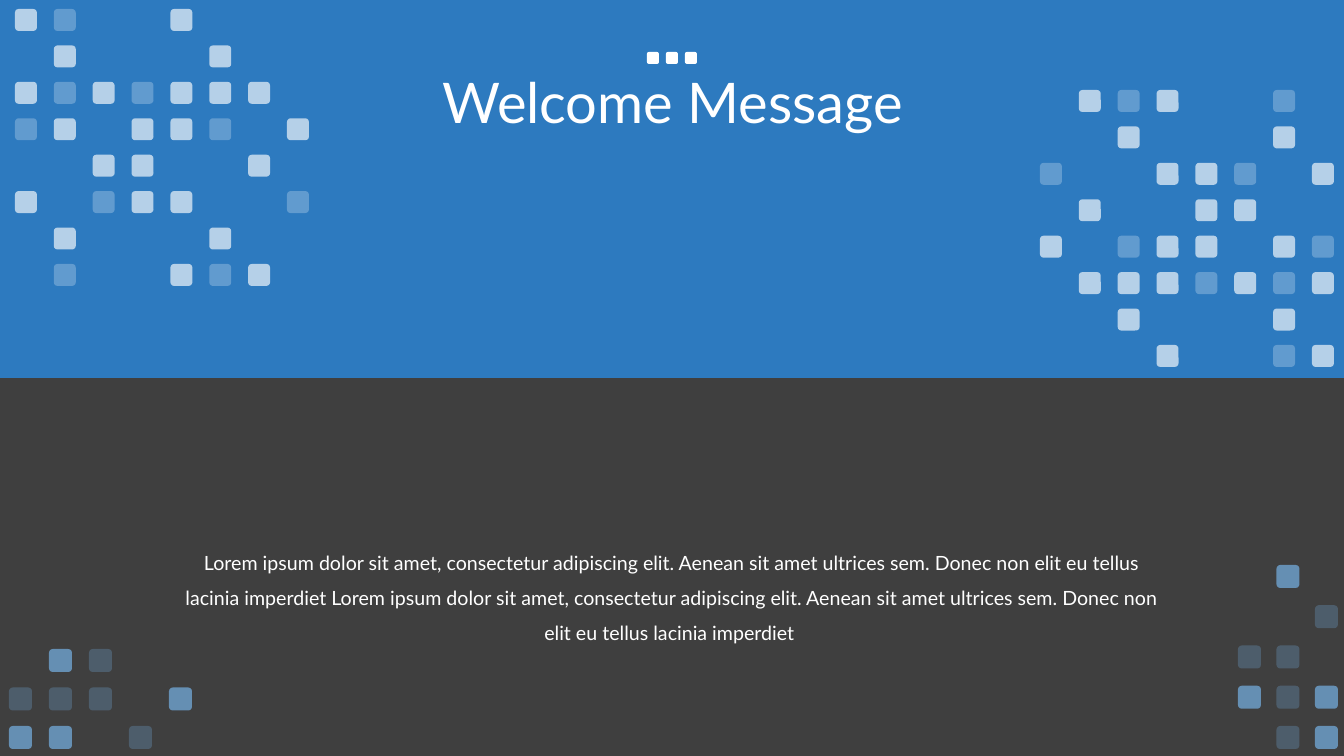
from lxml.etree import SubElement
from pptx import Presentation
from pptx.dml.color import RGBColor
from pptx.enum.shapes import MSO_SHAPE
from pptx.enum.text import MSO_ANCHOR, MSO_AUTO_SIZE, PP_ALIGN
from pptx.oxml.ns import qn
from pptx.util import Emu, Pt

WHITE = RGBColor(0xFF, 0xFF, 0xFF)
BLUE = RGBColor(0x27, 0x8F, 0xEA)
SKY = RGBColor(0x7A, 0xBA, 0xF2)
DARK = RGBColor(0x3F, 0x3F, 0x3F)
WIDE, HIGH = 1344, 756
SCALE = 12192000 / WIDE
ALPHA = {"#": 65, "+": 25, "@": 100}

LOREM = (
    "Lorem ipsum dolor sit amet, consectetur adipiscing elit. "
    "Aenean sit amet ultrices sem. Donec non elit eu tellus lacinia imperdiet "
)
LEFT = [
    "#+..#...",
    ".#...#..",
    "#+#+###.",
    "+#.##+.#",
    "..##..#.",
    "#.+##..+",
    ".#...#..",
    ".+..#+#.",
]
RIGHT = [
    ".#+#..+.",
    "..#...#.",
    "+..##+.#",
    ".#..##..",
    "#.+##.#+",
    ".###+#+#",
    "..#...#.",
    "...#..+#",
]
FOOT = [".#+..", "+++.#", "##.+."]
SIDE = [".#.", "..+", "++.", "#+#", ".+#"]


def px(*nums):
    return [Emu(round(num * SCALE)) for num in nums]


def write(frame, text, size=14, color=WHITE, font="Lato", space=1.0):
    frame.word_wrap = True
    para = frame.paragraphs[0]
    para.alignment = PP_ALIGN.CENTER
    para.line_spacing = space
    run = para.add_run()
    run.text = text
    run.font.name = font
    run.font.size = Pt(size)
    run.font.color.rgb = color


class Deck:
    def __init__(self):
        self.show = Presentation()
        self.show.slide_width, self.show.slide_height = px(WIDE, HIGH)
        self.slide = self.show.slides.add_slide(self.show.slide_layouts[5])
        fill = self.slide.background.fill
        fill.solid()
        fill.fore_color.rgb = DARK

    def shape(self, home, kind, box, color, alpha=100):
        item = home.add_shape(kind, *px(*box))
        item.shadow.inherit = False
        item.fill.solid()
        item.fill.fore_color.rgb = color
        item.line.fill.background()
        if alpha < 100:
            tint = next(item.element.spPr.iter(qn("a:srgbClr")))
            SubElement(tint, qn("a:alpha")).set("val", str(alpha * 1000))
        return item

    def title(self, text, box):
        item = self.slide.shapes.title
        item.left, item.top, item.width, item.height = px(*box)
        item.text_frame.vertical_anchor = MSO_ANCHOR.MIDDLE
        write(item.text_frame, text, size=40, space=0.9)

    def band(self, box):
        item = self.shape(self.slide.shapes, MSO_SHAPE.RECTANGLE, box, BLUE, 75)
        self.slide.shapes.title.element.addprevious(item.element)

    def body(self, text, box):
        frame = self.slide.shapes.add_textbox(*px(*box)).text_frame
        write(frame, text, space=1.5)
        frame.auto_size = MSO_AUTO_SIZE.SHAPE_TO_FIT_TEXT

    def grid(self, rows, first, last, size, color):
        home = self.slide.shapes.add_group_shape().shapes
        (left, top), (right, low) = first, last
        across = (right - left) / (len(rows[0]) - 1)
        down = (low - top) / max(len(rows) - 1, 1)
        for row, line in enumerate(rows):
            for col, mark in enumerate(line):
                if mark in ALPHA:
                    box = left + col * across, top + row * down, size, size
                    self.shape(home, MSO_SHAPE.ROUNDED_RECTANGLE, box, color, ALPHA[mark])


def main():
    deck = Deck()
    deck.title("Welcome Message", (93, 32, 1159, 146))
    deck.band((0, 0, WIDE, HIGH // 2))
    deck.body(LOREM * 2, (175, 534, 994, 112))
    deck.grid(["@@@"], (647, 52), (685, 52), 12, WHITE)
    deck.grid(LEFT, (15, 9), (287, 264), 22, WHITE)
    deck.grid(RIGHT, (1040, 90), (1312, 345), 22, WHITE)
    deck.grid(FOOT, (9, 649), (169, 726), 23, SKY)
    deck.grid(SIDE, (1238, 565), (1315, 726), 23, SKY)
    deck.show.save("out.pptx")


if __name__ == "__main__":
    main()
